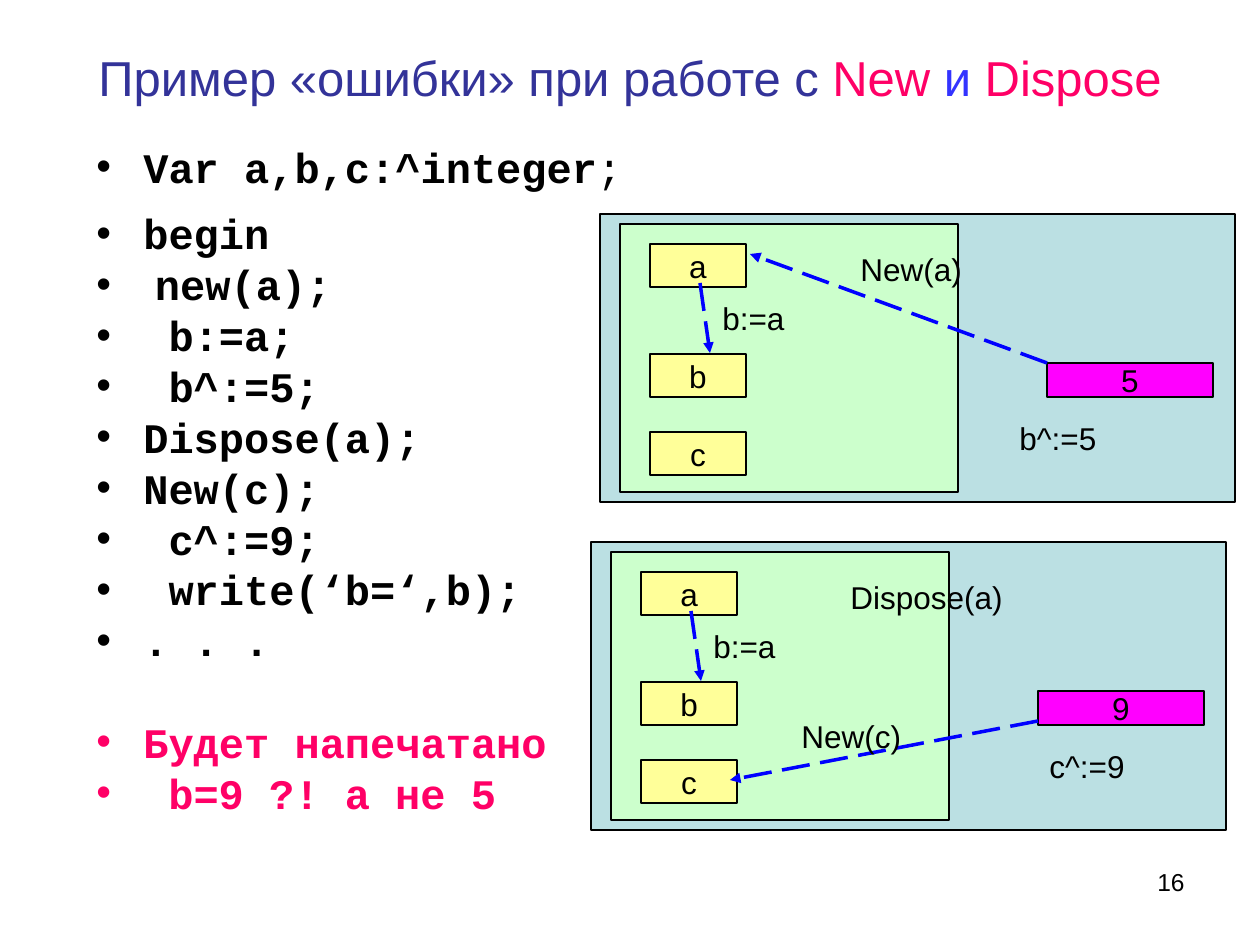
import pptx
import pptx.util
import pptx.dml.color
import pptx.enum.dml
import pptx.enum.shapes
import pptx.enum.text
import pptx.oxml.ns
import lxml.etree
from dataclasses import dataclass

SCALE = 914400 / 126
ALIGN = pptx.enum.text.PP_ALIGN
ANCHOR = pptx.enum.text.MSO_ANCHOR


@dataclass(frozen=True)
class Theme:
    ink: str = "000000"
    title: str = "333399"
    link: str = "3333FF"
    pink: str = "FF0066"
    panel: str = "BBE0E3"
    stack: str = "CCFFCC"
    cell: str = "FFFF99"
    heap: str = "FF00FF"
    arrow: str = "0000FF"
    sans: str = "Arial"
    mono: str = "Courier New"
    head: int = 28
    code: int = 24
    label: int = 18
    foot: int = 14


THEME = Theme()


def px(n):
    return pptx.util.Emu(round(n * SCALE))


def rgb(hue):
    return pptx.dml.color.RGBColor.from_string(hue)


def style(run, size, hue=THEME.ink, face=THEME.sans, bold=False):
    run.font.size = pptx.util.Pt(size)
    run.font.color.rgb = rgb(hue)
    run.font.name = face
    run.font.bold = bold


def add(node, tag, **attrs):
    child = lxml.etree.SubElement(node, pptx.oxml.ns.qn(tag))
    for key, value in attrs.items():
        child.set(key, value)
    return child


def make_text(slide, box, text="", size=THEME.label, align=ALIGN.LEFT):
    shape = slide.shapes.add_textbox(*map(px, box))
    frame = shape.text_frame
    frame.word_wrap = True
    frame.text = text
    para = frame.paragraphs[0]
    para.alignment = align
    for run in para.runs:
        style(run, size)
    return frame


def make_rect(slide, box, fill, text=""):
    kind = pptx.enum.shapes.MSO_SHAPE.RECTANGLE
    shape = slide.shapes.add_shape(kind, *map(px, box))
    shape.shadow.inherit = False
    shape.fill.solid()
    shape.fill.fore_color.rgb = rgb(fill)
    shape.line.color.rgb = rgb(THEME.ink)
    shape.line.width = pptx.util.Pt(0.75)
    if text:
        frame = shape.text_frame
        frame.word_wrap = False
        frame.vertical_anchor = ANCHOR.MIDDLE
        frame.text = text
        frame.paragraphs[0].alignment = ALIGN.CENTER
        style(frame.paragraphs[0].runs[0], THEME.label)


def make_arrow(slide, ends):
    kind = pptx.enum.shapes.MSO_CONNECTOR.STRAIGHT
    arrow = slide.shapes.add_connector(kind, *map(px, ends))
    arrow.line.color.rgb = rgb(THEME.arrow)
    arrow.line.width = pptx.util.Pt(2)
    arrow.line.dash_style = pptx.enum.dml.MSO_LINE.LONG_DASH
    add(arrow.line._get_or_add_ln(), "a:tailEnd", type="triangle")
    add(arrow._element.spPr, "a:effectLst")


def make_title(slide, box):
    frame = make_text(slide, box, align=ALIGN.CENTER)
    frame.vertical_anchor = ANCHOR.MIDDLE
    parts = [
        ("Пример «ошибки» при работе с ", THEME.title),
        ("New ", THEME.pink),
        ("и", THEME.link),
        (" Dispose", THEME.pink),
    ]
    for text, hue in parts:
        run = frame.paragraphs[0].add_run()
        run.text = text
        style(run, THEME.head, hue)


def make_code(slide, box):
    mono, sans, ink, pink = THEME.mono, THEME.sans, THEME.ink, THEME.pink
    plain = ["begin", None, " b:=a;", " b^:=5;", "Dispose(a);", "New(c);",
             " c^:=9;", " write(‘b=‘,b);", ". . ."]
    rows = [([("Var a,b,c:^integer", mono, True), (";", mono, False)], 0, ink, 0)]
    for text in plain:
        parts = [(text, mono, True)] if text else [(" ", sans, True), ("new(a);", mono, True)]
        rows.append((parts, 15 if text == "begin" else 6, ink, 0))
    rows.append(([("Будет напечатано", mono, True)], 35, pink, 0))
    rows.append(([("b=9 ?! а не 5", mono, True)], 6, pink, 25))

    frame = make_text(slide, box)
    for i, (parts, gap, hue, shift) in enumerate(rows):
        para = frame.add_paragraph() if i else frame.paragraphs[0]
        para.line_spacing = 0.8
        para.space_before = pptx.util.Pt(gap)
        props = para._p.get_or_add_pPr()
        props.set("marL", str(px(47 + shift)))
        props.set("indent", str(-px(47 + shift)))
        add(add(props, "a:buClr"), "a:srgbClr", val=hue)
        add(props, "a:buFont", typeface=sans)
        add(props, "a:buChar", char="•")
        for text, face, bold in parts:
            run = para.add_run()
            run.text = text
            style(run, THEME.code, hue, face, bold)


def make_panel(slide, box, value, link, notes):
    left, top, wide, high = box

    def place(x, y, w, h):
        return left + x, top + y, w, h

    make_rect(slide, box, THEME.panel)
    make_rect(slide, place(20, 10, 338, 268), THEME.stack)
    for name, y in (("a", 30), ("b", 140), ("c", 218)):
        make_rect(slide, place(50, y, 96, 43), THEME.cell, name)
    make_rect(slide, place(447, 149, 166, 34), THEME.heap, value)
    for x, y, u, v in ((100, 69, 110, 139), link):
        make_arrow(slide, (left + x, top + y, left + u, top + v))
    for text, x, y, w in [("b:=a", 110, 79, 87)] + notes:
        make_text(slide, place(x, y, w, 50), text)


def main():
    deck = pptx.Presentation()
    deck.slide_width, deck.slide_height = px(1260), px(945)
    slide = deck.slides.add_slide(deck.slide_layouts[6])
    make_title(slide, (63, 38, 1134, 77))
    make_code(slide, (84, 145, 656, 745))
    make_panel(slide, (600, 214, 635, 288), "5", (447, 149, 150, 40),
               [("New(a)", 248, 30, 142), ("b^:=5", 407, 199, 118)])
    make_panel(slide, (591, 542, 635, 288), "9", (447, 179, 139, 238),
               [("Dispose(a)", 247, 30, 188), ("New(c)", 198, 169, 152),
                ("c^:=9", 446, 199, 118)])
    make_text(slide, (903, 861, 294, 66), "16", THEME.foot, ALIGN.RIGHT)
    deck.save("out.pptx")


if __name__ == "__main__":
    main()
